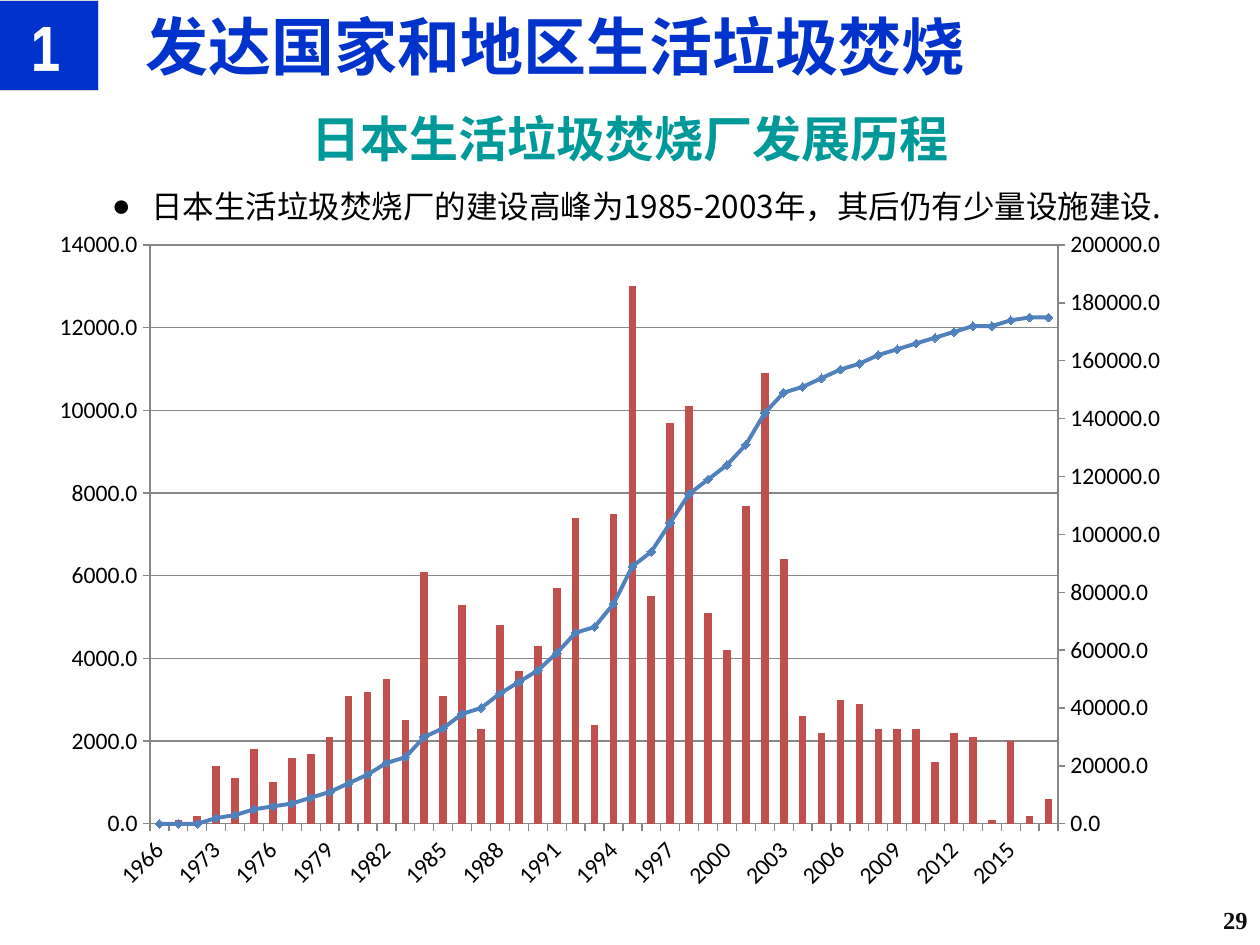
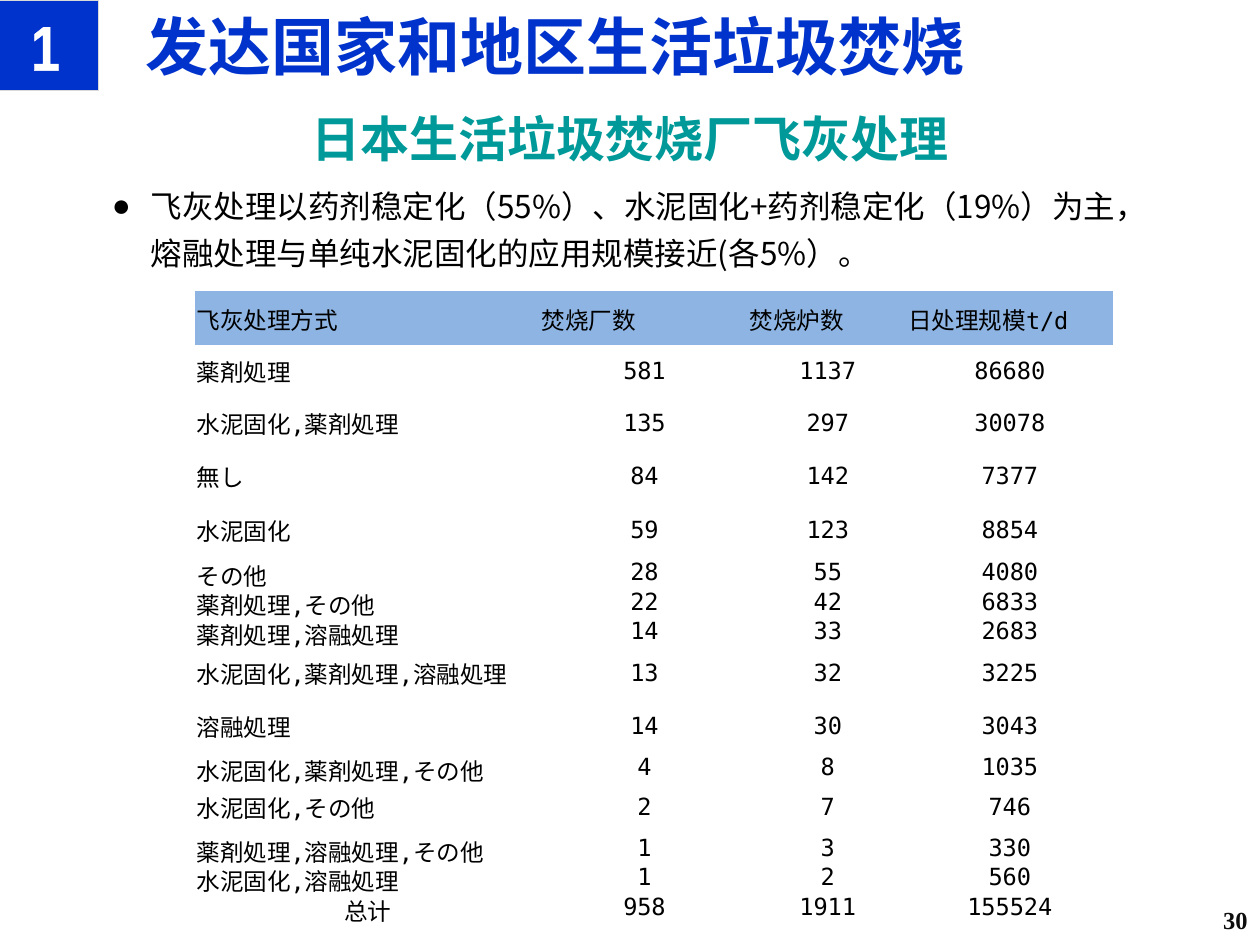
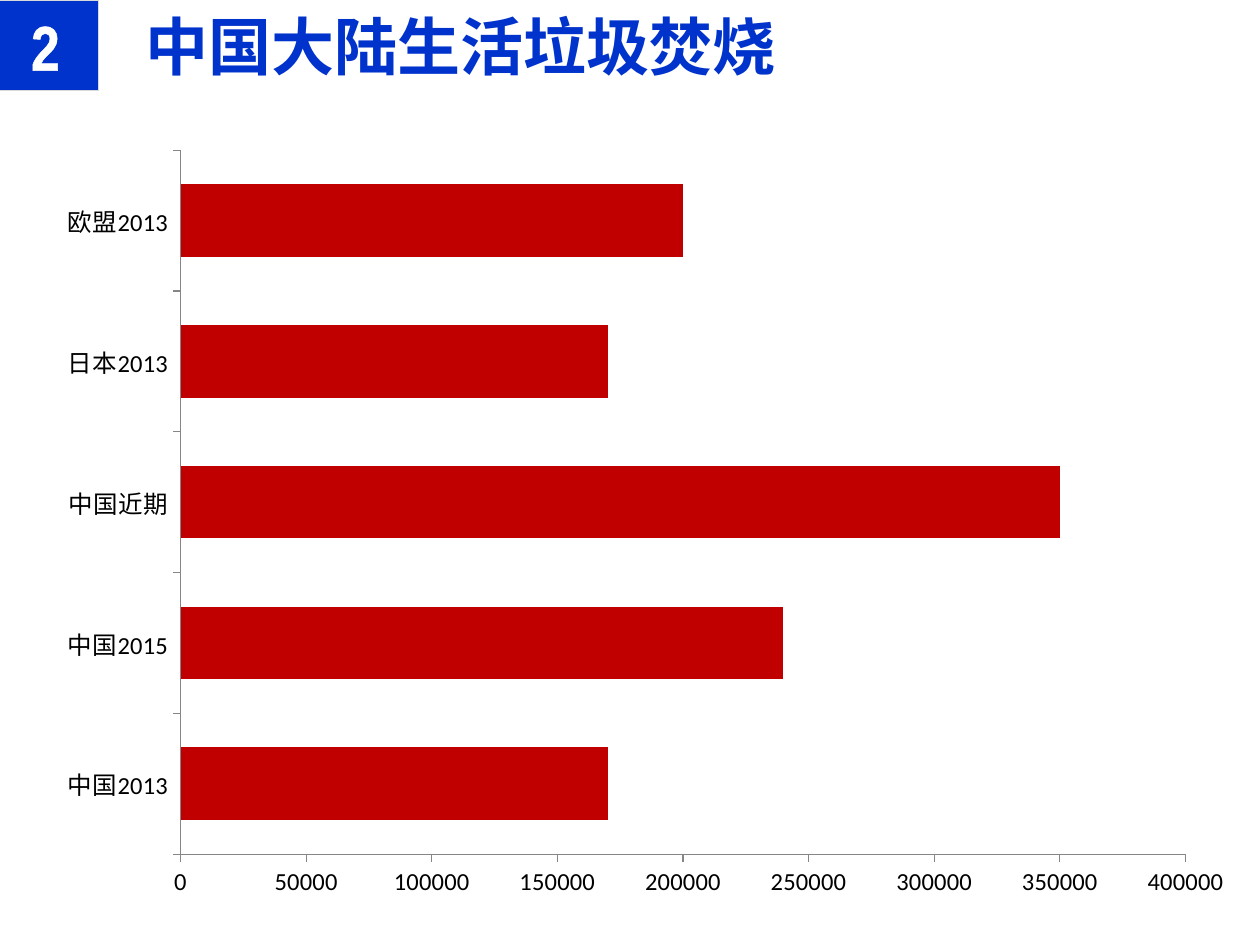
"""Build three slides on municipal waste incineration in Japan and China."""
import copy
from dataclasses import dataclass
from typing import Optional

import pptx
import pptx.chart.axis
import pptx.chart.chart
import pptx.chart.data
import pptx.dml.color
import pptx.enum.chart
import pptx.enum.shapes
import pptx.enum.text
import pptx.oxml
import pptx.oxml.ns
import pptx.slide
import pptx.table
import pptx.text.text
import pptx.util

Inches = pptx.util.Inches
Align = pptx.enum.text.PP_ALIGN
Anchor = pptx.enum.text.MSO_ANCHOR
ChartType = pptx.enum.chart.XL_CHART_TYPE
TickMark = pptx.enum.chart.XL_TICK_MARK
qn = pptx.oxml.ns.qn

BLUE, TEAL, RED = "0033CC", "009999", "C00000"
BLACK, WHITE, NEAR_BLACK = "000000", "FFFFFF", "0D0D0D"
BADGE_EDGE, HEADER_FILL, AXIS_GRAY = "D9D9D9", "8DB4E2", "868686"
BAR_RED, LINE_BLUE = "C0504D", "4F81BD"
CHINESE_FONT, SERIF_FONT = "Noto Sans CJK SC", "Times New Roman"
SERIES_NAMES = ("Series 1", "Series 2")


@dataclass(frozen=True)
class Box:
    """Place and size in inches."""
    left: float
    top: float
    width: float
    height: float

    def lengths(self) -> tuple:
        """Return the four lengths as Inches."""
        return tuple(Inches(n) for n in (self.left, self.top, self.width, self.height))


@dataclass(frozen=True)
class TextStyle:
    """Look of a piece of text."""
    size: float
    font: str
    color: str
    bold: bool = False
    align: Optional[Align] = None
    line_spacing: Optional[float] = None


@dataclass(frozen=True)
class Heading:
    """Texts at the edges of a slide."""
    chapter: str
    title: str
    subtitle: str = ""
    page: str = ""


@dataclass(frozen=True)
class AxisScale:
    """Range and number format of a value axis."""
    maximum: float
    step: float
    number_format: str


BADGE_BOX = Box(-0.06, 0, 0.84, 0.72)
TITLE_BOX = Box(1.06, 0, 8.94, 0.72)
SUBTITLE_BOX = Box(0, 0.76, 10, 0.62)
PAGE_BOX = Box(8.83, 7.1, 1.17, 0.4)

BADGE_STYLE = TextStyle(36, "Arial Narrow", WHITE, True, Align.CENTER)
TITLE_STYLE = TextStyle(36, CHINESE_FONT, BLUE, True)
SUBTITLE_STYLE = TextStyle(28, SERIF_FONT, TEAL, True, Align.CENTER, 1.1)
PAGE_STYLE = TextStyle(14, SERIF_FONT, NEAR_BLACK, True, Align.RIGHT)
BULLET_STYLE = TextStyle(18, CHINESE_FONT, BLACK, line_spacing=1.25)
CELL_STYLE = TextStyle(13.5, "DejaVu Sans Mono", BLACK)
CENTERED_CELL_STYLE = TextStyle(13.5, "DejaVu Sans Mono", BLACK, align=Align.CENTER)

CHAPTER_ONE = "发达国家和地区生活垃圾焚烧"
YEARS = [str(year) for year in (1966, 1967, *range(1972, 2018))]
YEARLY_CAPACITY = [
    0, 100, 200, 1400, 1100, 1800, 1000, 1600, 1700, 2100, 3100, 3200,
    3500, 2500, 6100, 3100, 5300, 2300, 4800, 3700, 4300, 5700, 7400, 2400,
    7500, 13000, 5500, 9700, 10100, 5100, 4200, 7700, 10900, 6400, 2600, 2200,
    3000, 2900, 2300, 2300, 2300, 1500, 2200, 2100, 100, 2000, 200, 600]
TOTAL_CAPACITY = [1000 * thousands for thousands in (
    0, 0, 0, 2, 3, 5, 6, 7, 9, 11, 14, 17,
    21, 23, 30, 33, 38, 40, 45, 49, 53, 59, 66, 68,
    76, 89, 94, 104, 114, 119, 124, 131, 142, 149, 151, 154,
    157, 159, 162, 164, 166, 168, 170, 172, 172, 174, 175, 175)]
REGIONAL_CAPACITY = {
    "中国2013": 170000, "中国2015": 240000, "中国近期": 350000,
    "日本2013": 170000, "欧盟2013": 200000}

COLUMN_WIDTHS = (2.74, 1.65, 1.26, 1.63)
ROW_HEIGHTS = (0.43, 0.41, 0.41, 0.43, 0.43, 0.23, 0.23, 0.23,
               0.43, 0.41, 0.23, 0.41, 0.23, 0.23, 0.23)
FLY_ASH_ROWS = (
    ("飞灰处理方式", "焚烧厂数", "焚烧炉数", "日处理规模t/d"),
    ("薬剤処理", "581", "1137", "86680"),
    ("水泥固化,薬剤処理", "135", "297", "30078"),
    ("無し", "84", "142", "7377"),
    ("水泥固化", "59", "123", "8854"),
    ("その他", "28", "55", "4080"),
    ("薬剤処理,その他", "22", "42", "6833"),
    ("薬剤処理,溶融処理", "14", "33", "2683"),
    ("水泥固化,薬剤処理,溶融処理", "13", "32", "3225"),
    ("溶融処理", "14", "30", "3043"),
    ("水泥固化,薬剤処理,その他", "4", "8", "1035"),
    ("水泥固化,その他", "2", "7", "746"),
    ("薬剤処理,溶融処理,その他", "1", "3", "330"),
    ("水泥固化,溶融処理", "1", "2", "560"),
    ("总计", "958", "1911", "155524"),
)


def rgb(color: str) -> pptx.dml.color.RGBColor:
    """Turn a hex string into a colour."""
    return pptx.dml.color.RGBColor.from_string(color)


def element(prefix: str, name: str, **attributes: str):
    """Make an XML element with the given attributes."""
    node = pptx.oxml.parse_xml(f"<{prefix}:{name} {pptx.oxml.ns.nsdecls(prefix)}/>")
    for key, value in attributes.items():
        node.set(key, value)
    return node


def write(text_frame: pptx.text.text.TextFrame, text: str, style: TextStyle) -> None:
    """Put one styled paragraph into a text frame."""
    text_frame.text = text
    paragraph = text_frame.paragraphs[0]
    paragraph.alignment = style.align
    paragraph.line_spacing = style.line_spacing
    font = paragraph.runs[0].font
    font.size, font.bold, font.name = pptx.util.Pt(style.size), style.bold, style.font
    font.color.rgb = rgb(style.color)
    latin = paragraph.runs[0]._r.rPr.find(qn("a:latin"))
    latin.addnext(element("a", "ea", typeface=CHINESE_FONT))


def add_text(slide: pptx.slide.Slide, box: Box, text: str, style: TextStyle,
             anchor: Anchor = Anchor.MIDDLE) -> pptx.text.text.TextFrame:
    """Add a wrapping text box."""
    text_frame = slide.shapes.add_textbox(*box.lengths()).text_frame
    text_frame.word_wrap = True
    text_frame.vertical_anchor = anchor
    write(text_frame, text, style)
    return text_frame


def add_bullet(slide: pptx.slide.Slide, box: Box, text: str) -> None:
    """Add a bulleted statement."""
    text_frame = add_text(slide, box, text, BULLET_STYLE, Anchor.TOP)
    properties = text_frame.paragraphs[0]._p.get_or_add_pPr()
    properties.set("marL", str(Inches(0.31)))
    properties.set("indent", str(Inches(-0.31)))
    properties.append(element("a", "buFont", typeface=SERIF_FONT))
    properties.append(element("a", "buChar", char="●"))


def add_badge(slide: pptx.slide.Slide, chapter: str) -> None:
    """Add the chapter number in its blue square."""
    badge = slide.shapes.add_shape(
        pptx.enum.shapes.MSO_SHAPE.RECTANGLE, *BADGE_BOX.lengths())
    badge.shadow.inherit = False
    badge.fill.solid()
    badge.fill.fore_color.rgb = rgb(BLUE)
    badge.line.color.rgb = rgb(BADGE_EDGE)
    badge.line.width = pptx.util.Pt(0.75)
    text_frame = badge.text_frame
    text_frame.margin_left = text_frame.margin_right = Inches(0.04)
    text_frame.vertical_anchor = Anchor.MIDDLE
    write(text_frame, chapter, BADGE_STYLE)
    outline = element("a", "ln", w=str(pptx.util.Pt(0.75)))
    fill = element("a", "solidFill")
    fill.append(element("a", "srgbClr", val=WHITE))
    outline.append(fill)
    text_frame.paragraphs[0].runs[0]._r.rPr.insert(0, outline)


def add_slide(presentation, heading: Heading) -> pptx.slide.Slide:
    """Add a blank slide with its badge, title, subtitle and page number."""
    slide = presentation.slides.add_slide(presentation.slide_layouts[6])
    add_badge(slide, heading.chapter)
    add_text(slide, TITLE_BOX, heading.title, TITLE_STYLE)
    if heading.subtitle:
        add_text(slide, SUBTITLE_BOX, heading.subtitle, SUBTITLE_STYLE)
    if heading.page:
        add_text(slide, PAGE_BOX, heading.page, PAGE_STYLE)
    return slide


def set_scale(axis: pptx.chart.axis.ValueAxis, scale: AxisScale) -> None:
    """Apply range and number format to a value axis."""
    axis.minimum_scale, axis.maximum_scale = 0, scale.maximum
    axis.major_unit = scale.step
    axis.tick_labels.number_format = scale.number_format
    axis.tick_labels.number_format_is_linked = False


def place_plot(chart: pptx.chart.chart.Chart, area: tuple) -> None:
    """Fix the inner plot area as fractions of the chart."""
    plot_area = chart.element.xpath("//c:plotArea")[0]
    for old_layout in plot_area.findall(qn("c:layout")):
        plot_area.remove(old_layout)
    layout, manual = element("c", "layout"), element("c", "manualLayout")
    manual.append(element("c", "layoutTarget", val="inner"))
    for name in ("xMode", "yMode"):
        manual.append(element("c", name, val="edge"))
    for name, value in zip("xywh", area):
        manual.append(element("c", name, val=str(value)))
    layout.append(manual)
    plot_area.insert(0, layout)


def add_chart(slide: pptx.slide.Slide, kind: ChartType, box: Box, categories: list,
              series_values: tuple, size: float, gap: int, color: str,
              scale: AxisScale, area: tuple) -> pptx.chart.chart.Chart:
    """Add a bar chart with plain gray axes."""
    data = pptx.chart.data.CategoryChartData()
    data.categories = categories
    for name, values in zip(SERIES_NAMES, series_values):
        data.add_series(name, values)
    chart = slide.shapes.add_chart(kind, *box.lengths(), data).chart
    chart.has_title = chart.has_legend = False
    chart.font.name, chart.font.size = "Calibri", pptx.util.Pt(size)
    chart.font.color.rgb = rgb(BLACK)
    plot = chart.plots[0]
    plot.vary_by_categories = False
    plot.gap_width = gap
    plot.series[0].format.fill.solid()
    plot.series[0].format.fill.fore_color.rgb = rgb(color)
    for axis in (chart.category_axis, chart.value_axis):
        axis.has_major_gridlines = False
        axis.major_tick_mark, axis.minor_tick_mark = TickMark.OUTSIDE, TickMark.NONE
        axis.format.line.color.rgb = rgb(AXIS_GRAY)
        axis.tick_labels.font.size = pptx.util.Pt(size)
    set_scale(chart.value_axis, scale)
    place_plot(chart, area)
    return chart


def move_to_line(chart: pptx.chart.chart.Chart, scale: AxisScale) -> None:
    """Draw the second series as a line on a right-hand axis."""
    bar_chart = chart.element.xpath("//c:barChart")[0]
    series = bar_chart.findall(qn("c:ser"))[1]
    for flag in series.findall(qn("c:invertIfNegative")):
        series.remove(flag)
    line_chart = element("c", "lineChart")
    line_chart.append(element("c", "grouping", val="standard"))
    line_chart.append(element("c", "varyColors", val="0"))
    line_chart.append(series)
    line_chart.append(element("c", "marker", val="1"))
    axis_ids = {"c:catAx": "50010", "c:valAx": "50020"}
    for axis_id in axis_ids.values():
        line_chart.append(element("c", "axId", val=axis_id))
    bar_chart.addnext(line_chart)

    last_axis = chart.element.xpath("//c:valAx")[0]
    for tag, crossed in (("c:valAx", "c:catAx"), ("c:catAx", "c:valAx")):
        axis = copy.deepcopy(chart.element.xpath(f"//{tag}")[0])
        axis.find(qn("c:axId")).set("val", axis_ids[tag])
        axis.find(qn("c:crossAx")).set("val", axis_ids[crossed])
        last_axis.addnext(axis)
        last_axis = axis
        if tag == "c:valAx":
            axis.find(qn("c:axPos")).set("val", "r")
            axis.find(qn("c:crosses")).set("val", "max")
            right_axis = pptx.chart.axis.ValueAxis(axis)
            right_axis.has_major_gridlines = False
            set_scale(right_axis, scale)
        else:
            pptx.chart.axis.CategoryAxis(axis).visible = False

    line = chart.plots[1].series[0]
    line.smooth = False
    line.format.line.color.rgb = rgb(LINE_BLUE)
    line.format.line.width = pptx.util.Pt(2.25)
    line.marker.style = pptx.enum.chart.XL_MARKER_STYLE.DIAMOND
    line.marker.size = 5
    line.marker.format.fill.solid()
    line.marker.format.fill.fore_color.rgb = rgb(LINE_BLUE)
    line.marker.format.line.color.rgb = rgb(LINE_BLUE)


def add_history_chart(slide: pptx.slide.Slide) -> None:
    """Add yearly capacity as columns and total capacity as a line."""
    chart = add_chart(
        slide, ChartType.COLUMN_CLUSTERED, Box(0.39, 1.81, 9.41, 5.43), YEARS,
        (YEARLY_CAPACITY, TOTAL_CAPACITY), 13.5, 150, BAR_RED,
        AxisScale(14000, 2000, "0.0"), (0.085, 0.025, 0.766, 0.846))
    chart.value_axis.has_major_gridlines = True
    chart.value_axis.major_gridlines.format.line.color.rgb = rgb(AXIS_GRAY)
    category_axis = chart.element.xpath("//c:catAx")[0]
    category_axis.find(qn("c:txPr")).find(qn("a:bodyPr")).set("rot", "-2700000")
    category_axis.find(qn("c:lblOffset")).addnext(element("c", "tickLblSkip", val="3"))
    move_to_line(chart, AxisScale(200000, 20000, "0.0"))


def clear_borders(cell: pptx.table._Cell) -> None:
    """Hide the four borders of a cell so they never cover its text."""
    properties = cell._tc.get_or_add_tcPr()
    for position, name in enumerate(("lnL", "lnR", "lnT", "lnB")):
        border = element("a", name, w="0")
        border.append(element("a", "noFill"))
        properties.insert(position, border)


def add_fly_ash_table(slide: pptx.slide.Slide) -> None:
    """Add the table of fly ash treatment methods."""
    box = Box(1.55, 2.31, sum(COLUMN_WIDTHS), sum(ROW_HEIGHTS))
    table = slide.shapes.add_table(
        len(ROW_HEIGHTS), len(COLUMN_WIDTHS), *box.lengths()).table
    table.first_row = table.horz_banding = False
    for column, width in zip(table.columns, COLUMN_WIDTHS):
        column.width = Inches(width)
    for row_index, (texts, height) in enumerate(zip(FLY_ASH_ROWS, ROW_HEIGHTS)):
        table.rows[row_index].height = Inches(height)
        is_header, is_total = row_index == 0, row_index == len(FLY_ASH_ROWS) - 1
        for column_index, text in enumerate(texts):
            cell = table.cell(row_index, column_index)
            cell.margin_left = cell.margin_right = cell.margin_top = Inches(0.01)
            cell.margin_bottom = 0
            cell.vertical_anchor = Anchor.MIDDLE
            centered = is_total or (column_index > 0 and not is_header)
            write(cell.text_frame, text, CENTERED_CELL_STYLE if centered else CELL_STYLE)
            if is_header:
                cell.fill.solid()
                cell.fill.fore_color.rgb = rgb(HEADER_FILL)
            else:
                cell.fill.background()
            clear_borders(cell)


def main() -> None:
    """Build and save the presentation."""
    presentation = pptx.Presentation()
    presentation.slide_width, presentation.slide_height = Inches(10), Inches(7.5)

    history = add_slide(presentation, Heading(
        "1", CHAPTER_ONE, "日本生活垃圾焚烧厂发展历程", "29"))
    add_bullet(history, Box(0.79, 1.36, 8.78, 0.48),
               "日本生活垃圾焚烧厂的建设高峰为1985-2003年，其后仍有少量设施建设.")
    add_history_chart(history)

    fly_ash = add_slide(presentation, Heading(
        "1", CHAPTER_ONE, "日本生活垃圾焚烧厂飞灰处理", "30"))
    add_bullet(fly_ash, Box(0.79, 1.36, 8.5, 0.86),
               "飞灰处理以药剂稳定化（55%）、水泥固化+药剂稳定化（19%）为主，"
               "熔融处理与单纯水泥固化的应用规模接近(各5%）。")
    add_fly_ash_table(fly_ash)

    china = add_slide(presentation, Heading("2", "中国大陆生活垃圾焚烧"))
    add_chart(china, ChartType.BAR_CLUSTERED, Box(0.28, 1.07, 9.61, 6.14),
              list(REGIONAL_CAPACITY), (list(REGIONAL_CAPACITY.values()),), 14, 94, RED,
              AxisScale(400000, 50000, "General"), (0.12, 0.02, 0.83, 0.91))
    presentation.save("out.pptx")


if __name__ == "__main__":
    main()
